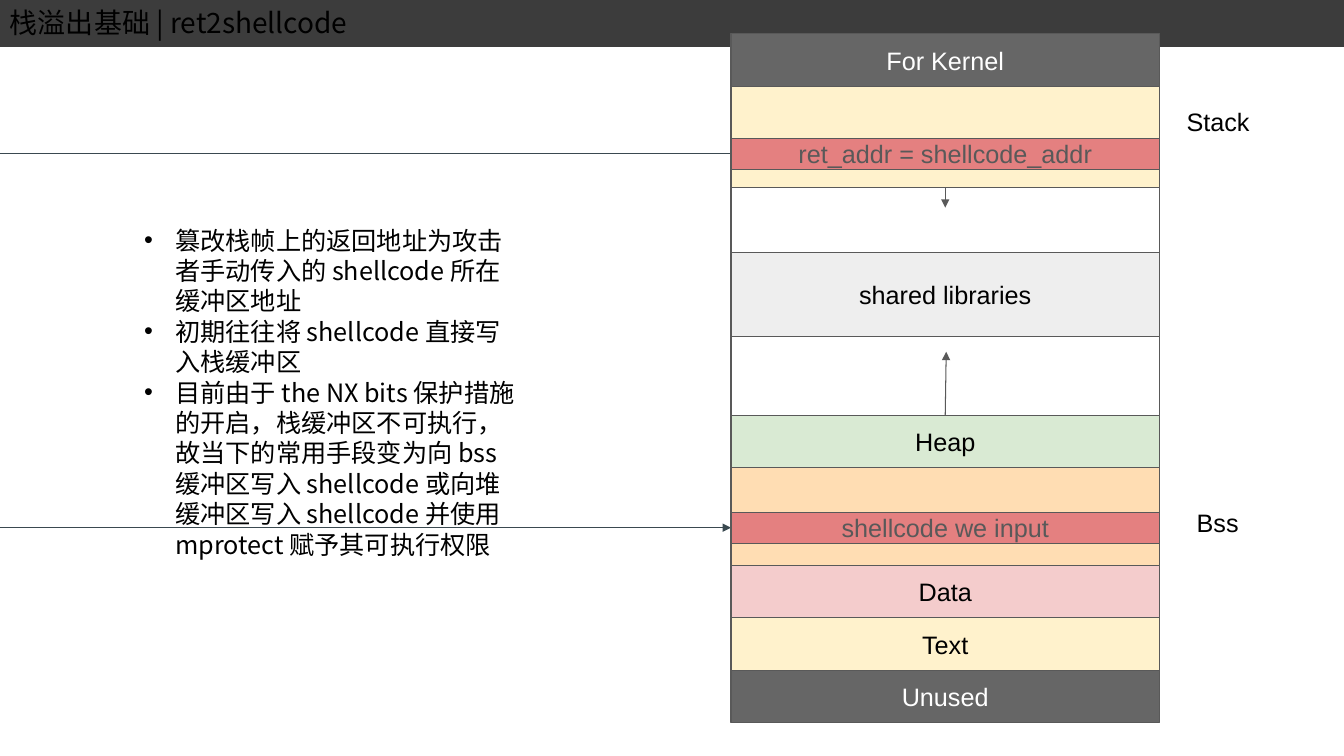
from lxml.etree import SubElement
from pptx import Presentation
from pptx.dml.color import RGBColor
from pptx.enum.shapes import MSO_CONNECTOR, MSO_SHAPE
from pptx.enum.text import MSO_ANCHOR, PP_ALIGN
from pptx.oxml.ns import qn
from pptx.util import Inches, Pt

BLACK = RGBColor(0x00, 0x00, 0x00)
WHITE = RGBColor(0xFF, 0xFF, 0xFF)
BAR = RGBColor(0x3C, 0x3C, 0x3C)
EDGE = RGBColor(0x59, 0x59, 0x59)
FLOW = RGBColor(0x3A, 0x49, 0x50)
RESERVED = RGBColor(0x66, 0x66, 0x66)
CREAM = RGBColor(0xFF, 0xF2, 0xCC)
LIBRARY = RGBColor(0xEE, 0xEE, 0xEE)
GREEN = RGBColor(0xD9, 0xEA, 0xD3)
ORANGE = RGBColor(0xFF, 0xDD, 0xB3)
PINK = RGBColor(0xF4, 0xCC, 0xCC)
RED = RGBColor(0xE4, 0x80, 0x80)

LATIN, CJK = "Arial", "Noto Sans CJK SC"

TITLE = "栈溢出基础 | ret2shellcode"
POINTS = [
    "篡改栈帧上的返回地址为攻击者手动传入的 shellcode 所在缓冲区地址",
    "初期往往将 shellcode 直接写入栈缓冲区",
    "目前由于 the NX bits 保护措施的开启，栈缓冲区不可执行，故当下的常用手段变为向 bss "
    "缓冲区写入 shellcode 或向堆缓冲区写入 shellcode 并使用 mprotect 赋予其可执行权限",
]
# label, height, fill, text colour; from high to low addresses
SEGMENTS = [
    ("For Kernel", 0.53, RESERVED, WHITE),
    ("", 1.0, CREAM, BLACK),
    ("", 0.65, WHITE, BLACK),
    ("shared libraries", 0.83, LIBRARY, BLACK),
    ("", 0.78, WHITE, BLACK),
    ("Heap", 0.52, GREEN, BLACK),
    ("", 0.97, ORANGE, BLACK),
    ("Data", 0.52, PINK, BLACK),
    ("Text", 0.52, CREAM, BLACK),
    ("Unused", 0.52, RESERVED, WHITE),
]
# label, top, whether its flow line ends in an arrowhead
PAYLOADS = [
    ("ret_addr = shellcode_addr", 1.37, False),
    ("shellcode we input", 5.08, True),
]
SIDE_LABELS = [("Stack", 11.67, 1.01, 0.94), ("Bss", 11.77, 4.98, 0.75)]

SLIDE_W, SLIDE_H = 13.33, 7.5
MAP_LEFT, MAP_TOP, MAP_W = 7.25, 0.33, 4.25
MAP_MID = MAP_LEFT + MAP_W / 2
PAYLOAD_H = 0.31
STACK_END = MAP_TOP + sum(height for _, height, _, _ in SEGMENTS[:2])
HEAP_TOP = MAP_TOP + sum(height for _, height, _, _ in SEGMENTS[:5])

prs = Presentation()
prs.slide_width, prs.slide_height = Inches(SLIDE_W), Inches(SLIDE_H)
slide = prs.slides.add_slide(prs.slide_layouts[6])
shapes = slide.shapes


def write(shape, paragraphs, font=LATIN, size=18, color=BLACK,
          align=PP_ALIGN.LEFT, anchor=MSO_ANCHOR.TOP, bullet=False, leading=None):
    frame = shape.text_frame
    frame.word_wrap = True
    frame.vertical_anchor = anchor
    for index, text in enumerate(paragraphs):
        para = frame.add_paragraph() if index else frame.paragraphs[0]
        para.alignment = align
        if leading:
            para.line_spacing = leading
        if bullet:
            props = para._p.get_or_add_pPr()
            props.set("marL", str(Inches(0.31)))
            props.set("indent", str(Inches(-0.31)))
            SubElement(props, qn("a:buFont"), typeface=LATIN)
            SubElement(props, qn("a:buChar"), char="•")
        run = para.add_run()
        run.text = text
        run.font.name, run.font.size = font, Pt(size)
        run.font.color.rgb = color
        SubElement(run._r.get_or_add_rPr(), qn("a:ea"), typeface=font)


def text_box(left, top, width, height, paragraphs, **style):
    box = shapes.add_textbox(*map(Inches, (left, top, width, height)))
    write(box, paragraphs, **style)


def block(left, top, width, height, fill, label="", color=BLACK, edge=EDGE, weight=0.75):
    rect = shapes.add_shape(MSO_SHAPE.RECTANGLE, *map(Inches, (left, top, width, height)))
    rect.shadow.inherit = False
    rect.fill.solid()
    rect.fill.fore_color.rgb = fill
    rect.line.color.rgb, rect.line.width = edge, Pt(weight)
    if label:
        write(rect, [label], color=color, align=PP_ALIGN.CENTER, anchor=MSO_ANCHOR.MIDDLE)


def line(start, end, color, arrow=True):
    link = shapes.add_connector(MSO_CONNECTOR.STRAIGHT, *map(Inches, (*start, *end)))
    link.line.color.rgb, link.line.width = color, Pt(0.75)
    if arrow:
        SubElement(link.line._get_or_add_ln(), qn("a:tailEnd"), type="triangle")
    SubElement(link._element.spPr, qn("a:effectLst"))


block(0, 0.01, SLIDE_W, 0.44, BAR, edge=BAR, weight=2)

top = MAP_TOP
for label, height, fill, color in SEGMENTS:
    block(MAP_LEFT, top, MAP_W, height, fill, label, color)
    top += height

line((MAP_MID, STACK_END), (MAP_MID, STACK_END + 0.2), EDGE)
line((MAP_MID, HEAP_TOP), (MAP_MID + 0.01, HEAP_TOP - 0.63), EDGE)

for label, top, arrow in PAYLOADS:
    middle = top + PAYLOAD_H / 2
    line((0, middle), (MAP_LEFT, middle), FLOW, arrow)
    block(MAP_LEFT, top, MAP_W, PAYLOAD_H, RED, label, EDGE)

for label, left, top, width in SIDE_LABELS:
    text_box(left, top, width, 0.4, [label])

text_box(1.33, 2.18, 3.95, 3.43, POINTS, font=CJK, bullet=True, leading=Pt(21.7))
text_box(0, 0.01, 6.17, 0.44, [TITLE], font=CJK, size=20, leading=Pt(24))

prs.save("out.pptx")
